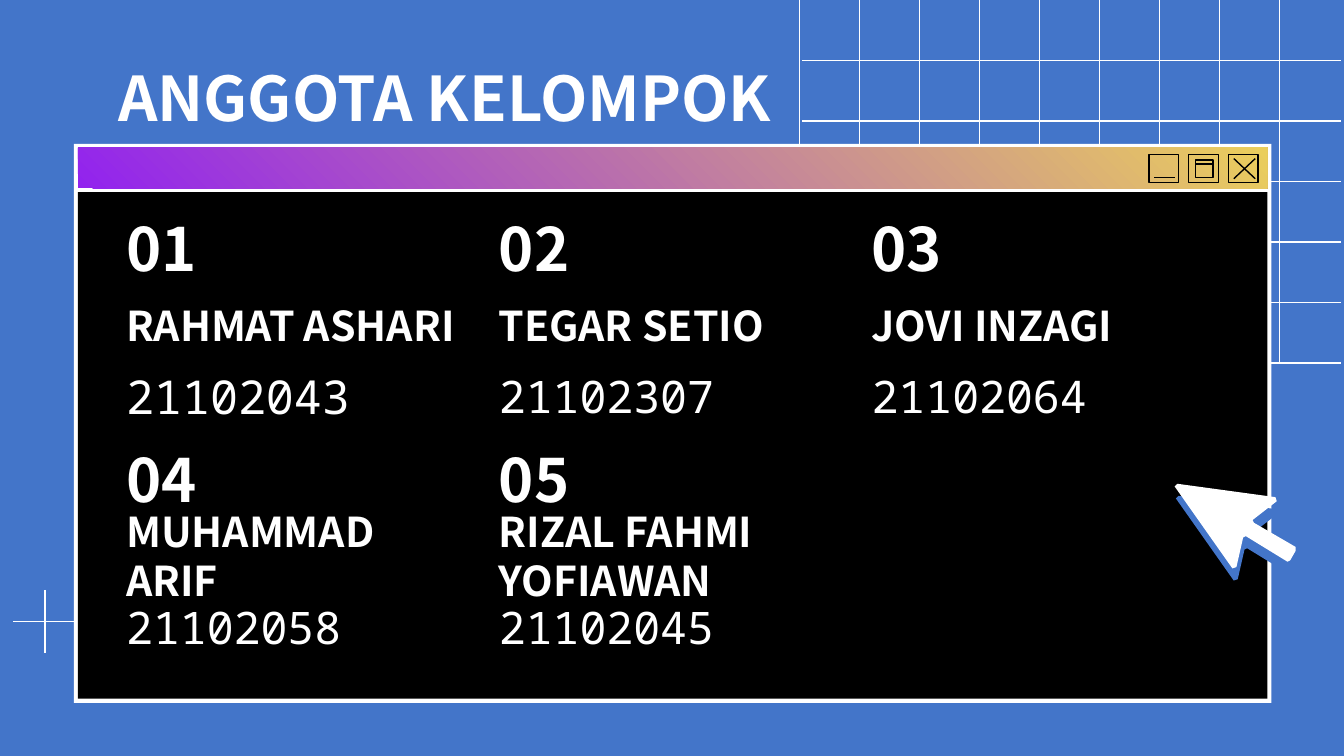
from lxml.etree import SubElement
from pptx import Presentation
from pptx.dml.color import RGBColor
from pptx.enum.shapes import MSO_CONNECTOR, MSO_SHAPE
from pptx.enum.text import MSO_ANCHOR, MSO_AUTO_SIZE, PP_ALIGN
from pptx.oxml.ns import qn
from pptx.util import Inches, Pt

HUES = {"blue": "4375C9", "white": "FFFFFF", "black": "000000",
        "violet": "9223EE", "gold": "EACE5C"}
SANS, MONO = "Noto Sans CJK KR", "Noto Sans Mono"
HEAD = {"name": SANS, "size": Pt(33), "bold": True}
RANK = {"name": SANS, "size": Pt(32), "bold": True}
NAME = {"name": SANS, "size": Pt(22), "bold": True}
CODE = {"name": MONO, "size": Pt(24), "bold": False}
TEAM = [
    ("01", "RAHMAT ASHARI", "21102043"),
    ("02", "TEGAR SETIO", "21102307"),
    ("03", "JOVI INZAGI", "21102064"),
    ("04", "MUHAMMAD ARIF", "21102058"),
    ("05", "RIZAL FAHMI YOFIAWAN", "21102045"),
]
ARROW = [(0, 0.02), (0.43, 0.63), (0.46, 0.62), (0.51, 0.4), (0.53, 0.39),
         (0.84, 0.58), (0.86, 0.57), (0.9, 0.5), (0.9, 0.47), (0.59, 0.29),
         (0.58, 0.27), (0.76, 0.13), (0.75, 0.1), (0.02, 0)]


def color(key):
    return RGBColor.from_string(HUES[key])


def add_line(slide, x1, y1, x2, y2, hue="white"):
    line = slide.shapes.add_connector(
        MSO_CONNECTOR.STRAIGHT, *map(Inches, (x1, y1, x2, y2)))
    line.line.color.rgb = color(hue)
    line.line.width = Pt(0.75)
    SubElement(line._element.spPr, qn("a:effectLst"))


def add_rect(slide, x, y, w, h, fill=None, edge=None):
    rect = slide.shapes.add_shape(
        MSO_SHAPE.RECTANGLE, *map(Inches, (x, y, w, h)))
    rect.shadow.inherit = False
    if fill:
        rect.fill.solid()
        rect.fill.fore_color.rgb = color(fill)
    else:
        rect.fill.background()
    if edge:
        rect.line.color.rgb = color(edge)
        rect.line.width = Pt(0.75)
    else:
        rect.line.fill.background()
    return rect


def set_text(shape, box, text, form, anchor=MSO_ANCHOR.MIDDLE):
    """Place a shape in its box and format its one paragraph."""
    for key, size in zip(("left", "top", "width", "height"), box):
        setattr(shape, key, Inches(size))
    frame = shape.text_frame
    frame.text = text
    rules = {"word_wrap": True, "auto_size": MSO_AUTO_SIZE.NONE,
             "vertical_anchor": anchor}
    for side in ("left", "right", "top", "bottom"):
        rules["margin_" + side] = Inches(0.1)
    for key, value in rules.items():
        setattr(frame, key, value)
    para = frame.paragraphs[0]
    para.alignment = PP_ALIGN.LEFT
    font = para.runs[0].font
    for key, value in form.items():
        setattr(font, key, value)
    font.color.rgb = color("white")


def add_text(slide, box, *args, **rules):
    shape = slide.shapes.add_textbox(*map(Inches, box))
    set_text(shape, box, *args, **rules)


def add_grid(slide, x, y, w, h):
    for i in range(9):
        left = x + i * 3.57 / 8
        add_line(slide, left, y, left, y + h)
    for i in range(1, 7):
        top = y + i * h / 6
        add_line(slide, x + 0.02, top, x + w, top)


def add_cross(slide, x, y, size):
    mid = size / 2
    add_line(slide, x, y + mid, x + size, y + mid)
    add_line(slide, x + mid, y, x + mid, y + size)


def add_icons(slide, x, y):
    """Draw the minimise, maximise and close buttons."""
    w, h, step = 0.22, 0.21, 0.59 / 2
    for i in range(3):
        add_rect(slide, x + i * step, y, w, h, edge="black")
    add_line(slide, x + 0.04, y + 0.17, x + 0.19, y + 0.17, "black")
    left = x + step + 0.05
    add_rect(slide, left, y + 0.04, 0.13, 0.13, edge="black")
    add_line(slide, left, y + 0.07, left + 0.13, y + 0.07, "black")
    left = x + 2 * step + 0.04
    for top, low in ((0.03, 0.18), (0.18, 0.03)):
        add_line(slide, left, y + top, left + 0.16, y + low, "black")


def add_window(slide, x, y, w, h):
    rim, bar = 0.03, 0.3
    wide = w - 2 * rim
    add_rect(slide, x, y, w, h, "white")
    top = y + 2 * rim + bar
    add_rect(slide, x + rim, top, wide, h - bar - 3 * rim, "black")
    strip = add_rect(slide, x + rim, y + rim, wide, bar)
    strip.fill.gradient()
    strip.fill.gradient_angle = 45
    for stop, hue, place in zip(
            strip.fill.gradient_stops, ("violet", "gold"), (0, 1)):
        stop.color.rgb = color(hue)
        stop.position = place
    add_icons(slide, x + w - 0.91, y + 0.08)


def add_member(slide, x, y, w, rank, name, code, form):
    add_text(slide, (x, y, w, 0.62), rank, RANK)
    add_text(slide, (x, y + 0.71, w, 0.35), name, NAME)
    add_text(slide, (x, y + 1.11, w, 0.69), code, form,
             anchor=MSO_ANCHOR.TOP)


def add_team(slide, x, y, w):
    for i, (rank, name, code) in enumerate(TEAM):
        row, col = divmod(i, 3)
        form = CODE if i else {**CODE, "size": Pt(25)}
        add_member(slide, x + col * w / 3, y + row * 1.72, 2.75,
                   rank, name, code, form)


def add_arrow(slide, x, y, hue):
    points = [(Inches(x + dx), Inches(y + dy)) for dx, dy in ARROW]
    pen = slide.shapes.build_freeform(*points[0])
    pen.add_line_segments(points[1:], close=True)
    shape = pen.convert_to_shape()
    shape.shadow.inherit = False
    shape.fill.solid()
    shape.fill.fore_color.rgb = color(hue)
    shape.line.fill.background()


def main():
    deck = Presentation()
    deck.slide_width = Inches(10)
    deck.slide_height = deck.slide_width * 9 // 16
    slide = deck.slides.add_slide(deck.slide_layouts[5])
    slide.background.fill.solid()
    slide.background.fill.fore_color.rgb = color("blue")
    set_text(slide.shapes.title, (0.78, 0.46, 8.42, 0.52),
             "ANGGOTA KELOMPOK", HEAD)
    add_cross(slide, 0.1, 4.39, 0.47)
    add_grid(slide, 5.95, 0, 4.03, 2.7)
    add_window(slide, 0.55, 1.07, 8.91, 4.16)
    add_team(slide, 0.84, 1.53, 8.32)
    add_arrow(slide, 8.75, 3.69, "blue")
    add_arrow(slide, 8.74, 3.6, "white")
    deck.save("out.pptx")


if __name__ == "__main__":
    main()
